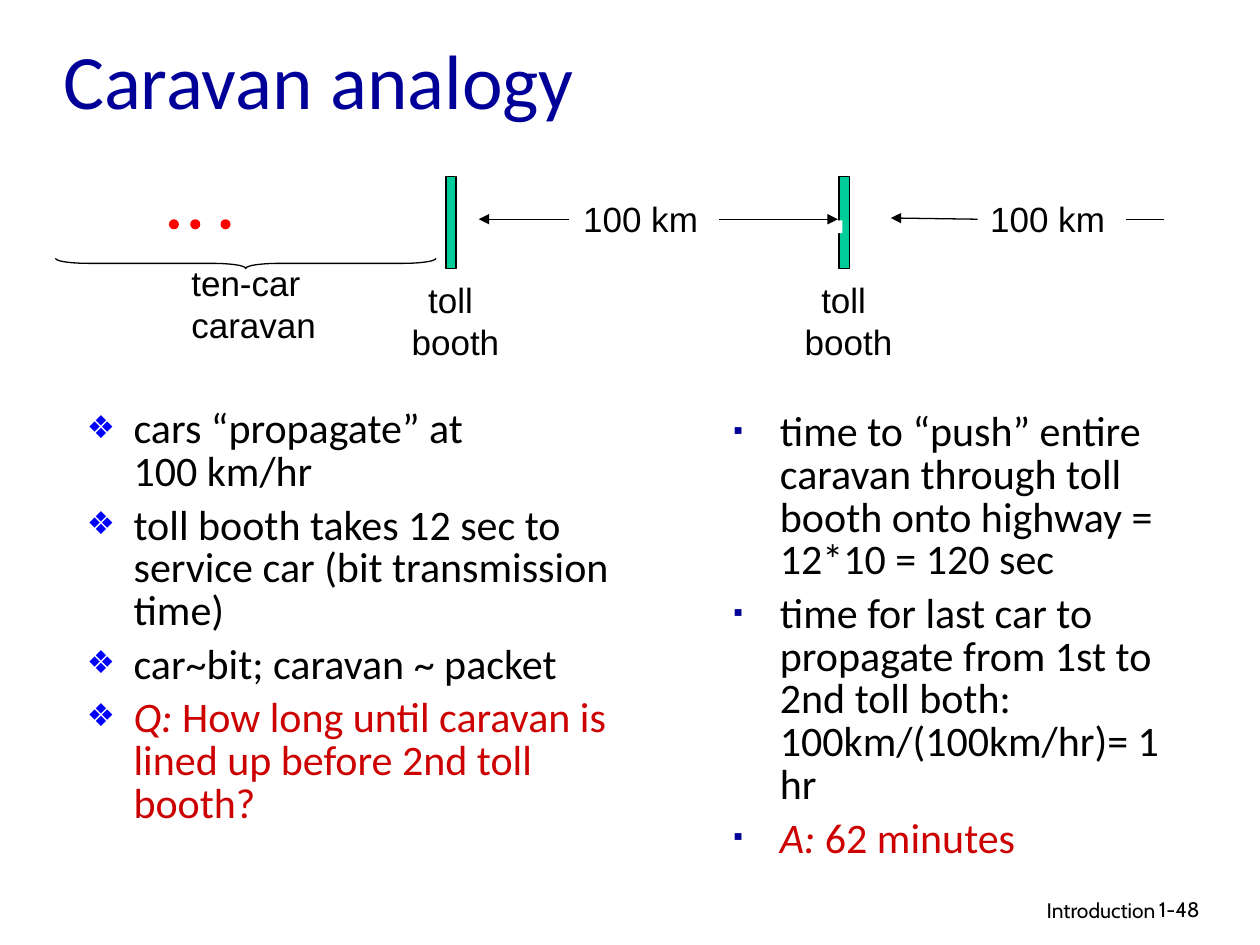
from pptx import Presentation
from pptx.util import Inches, Pt
from pptx.dml.color import RGBColor
from pptx.enum.shapes import MSO_SHAPE as Shape, MSO_CONNECTOR as Wire
from pptx.enum.text import PP_ALIGN as Align, MSO_AUTO_SIZE as Fit
from pptx.oxml.ns import qn
from lxml.etree import SubElement as Sub

COLS, ROWS = 100, 75


def hue(code):
    return RGBColor.from_string(code)


def write(para, text, size=20, face="Arial", color="000000", slant=False):
    run = para.add_run()
    run.text = text
    font = run.font
    font.size, font.name, font.italic = Pt(size), face, slant
    font.color.rgb = hue(color)


class Deck:
    ink, red, navy, blue, green = "000000", "CC0000", "000099", "0000FF", "00CC99"
    body = "Calibri"

    def __init__(self):
        self.prs = Presentation()
        self.prs.slide_width, self.prs.slide_height = Inches(10), Inches(7.5)
        self.slide = self.prs.slides.add_slide(self.prs.slide_layouts[3])
        self.shapes = self.slide.shapes

    def x(self, col):
        return round(self.prs.slide_width * col / COLS)

    def y(self, row):
        return round(self.prs.slide_height * row / ROWS)

    def spot(self, col, row, wide, high):
        return self.x(col), self.y(row), self.x(wide), self.y(high)

    def place(self, idx, *area):
        hold = self.slide.placeholders[idx]
        hold.left, hold.top, hold.width, hold.height = self.spot(*area)
        frame = hold.text_frame
        frame.word_wrap, frame.auto_size = True, Fit.NONE
        return frame

    def title(self, text, *area):
        para = self.place(0, *area).paragraphs[0]
        para.alignment = Align.LEFT
        write(para, text, size=44, face=self.body, color=self.navy)

    def list(self, idx, items, mark, color, share, *area):
        frame = self.place(idx, *area)
        for n, item in enumerate(items):
            para = frame.add_paragraph() if n else frame.paragraphs[0]
            self.bullet(para, mark, color, share)
            para.line_spacing = 0.85
            para.space_before = Pt(6 if n else 0)
            if isinstance(item, tuple):
                lead, rest = item
                write(para, lead, size=24, face=self.body, color=self.red, slant=True)
                write(para, rest, size=24, face=self.body, color=self.red)
            else:
                for k, line in enumerate(item.split("\n")):
                    if k:
                        para.add_line_break()
                    write(para, line, size=24, face=self.body)

    def bullet(self, para, mark, color, share):
        props = para._p.get_or_add_pPr()
        props.set("marL", str(Inches(0.37)))
        props.set("indent", str(-Inches(0.37)))
        Sub(Sub(props, qn("a:buClr")), qn("a:srgbClr")).set("val", color)
        Sub(props, qn("a:buSzPct")).set("val", str(share * 1000))
        Sub(props, qn("a:buChar")).set("char", mark)

    def label(self, lines, *area, align=Align.LEFT, wrap=True, **style):
        frame = self.shapes.add_textbox(*self.spot(*area)).text_frame
        frame.word_wrap = wrap
        frame.auto_size = Fit.NONE if wrap else Fit.SHAPE_TO_FIT_TEXT
        for n, line in enumerate(lines):
            para = frame.add_paragraph() if n else frame.paragraphs[0]
            para.alignment = align
            write(para, line, **style)

    def block(self, kind, *area, fill=None, edge=None):
        item = self.shapes.add_shape(kind, *self.spot(*area))
        item.shadow.inherit = False
        if fill:
            item.fill.solid()
            item.fill.fore_color.rgb = hue(fill)
        else:
            item.fill.background()
        if edge:
            item.line.color.rgb = hue(edge)
            item.line.width = Pt(0.75)
        else:
            item.line.fill.background()
        return item

    def brace(self, *area):
        item = self.block(Shape.LEFT_BRACE, *area, edge=self.ink)
        item.rotation = 270
        item.adjustments[0] = 3.25

    def booth(self, col):
        self.block(Shape.RECTANGLE, col, 14, 0.8, 7.3, fill=self.green, edge=self.ink)
        self.label(["toll ", "booth"], col - 4.1, 21.6, 9.7, 7.7,
                   align=Align.CENTER, wrap=False)

    def line(self, col, row, to, end, head=True):
        item = self.shapes.add_connector(
            Wire.STRAIGHT, self.x(col), self.y(row), self.x(to), self.y(end))
        item.line.color.rgb = hue(self.ink)
        item.line.width = Pt(0.75)
        if head:
            Sub(item.line._get_or_add_ln(), qn("a:tailEnd")).set("type", "triangle")
        Sub(item._element.spPr, qn("a:effectLst"))


def main():
    deck = Deck()
    deck.label(["Introduction"], 61, 70.7, 31.7, 3.1,
               align=Align.RIGHT, size=12, face="Cabin")
    deck.title("Caravan analogy", 4, 0, 85, 12.5)
    deck.list(1, [
        "cars “propagate” at\n100 km/hr",
        "toll booth takes 12 sec to service car (bit transmission time)",
        "car~bit; caravan ~ packet",
        ("Q:", " How long until caravan is lined up before 2nd toll booth?"),
    ], "❖", deck.blue, 75, 5.9, 32, 46.1, 36.3)
    deck.list(2, [
        "time to “push” entire caravan through toll booth onto highway = 12*10 = 120 sec",
        "time for last car to propagate from 1st to 2nd toll both: 100km/(100km/hr)= 1 hr",
        ("A:", " 62 minutes"),
    ], "▪", deck.navy, 65, 57.2, 32.2, 38.5, 36.8)

    for col in (66.6, 35.4):
        deck.booth(col)
    deck.brace(19.1, 5.8, 0.8, 30.2)
    deck.label(["ten-car", "caravan"], 14.2, 20.3, 11.9, 7.7, wrap=False)
    for col in (45.3, 77.6):
        deck.label(["100 km"], col, 15.2, 11.7, 4.4)
    for col in (13.4, 15.1, 17.5):
        deck.block(Shape.OVAL, col, 17.4, 0.8, 0.8, fill="FF0000")
    for col, row in ((33.1, 17.2), (65.1, 17.5)):
        deck.block(Shape.RECTANGLE, col, row, 1.75, 1, fill="FFFFFF")
    deck.line(45.2, 17.4, 38, 17.4)
    deck.line(57.1, 17.4, 66.5, 17.4)
    deck.line(77.6, 17.4, 70.7, 17.3)
    deck.line(89.4, 17.4, 92.4, 17.4, head=False)
    deck.label(["1-48"], 91, 70.7, 7.4, 3, size=12, face="Cabin")
    deck.prs.save("out.pptx")


if __name__ == "__main__":
    main()
